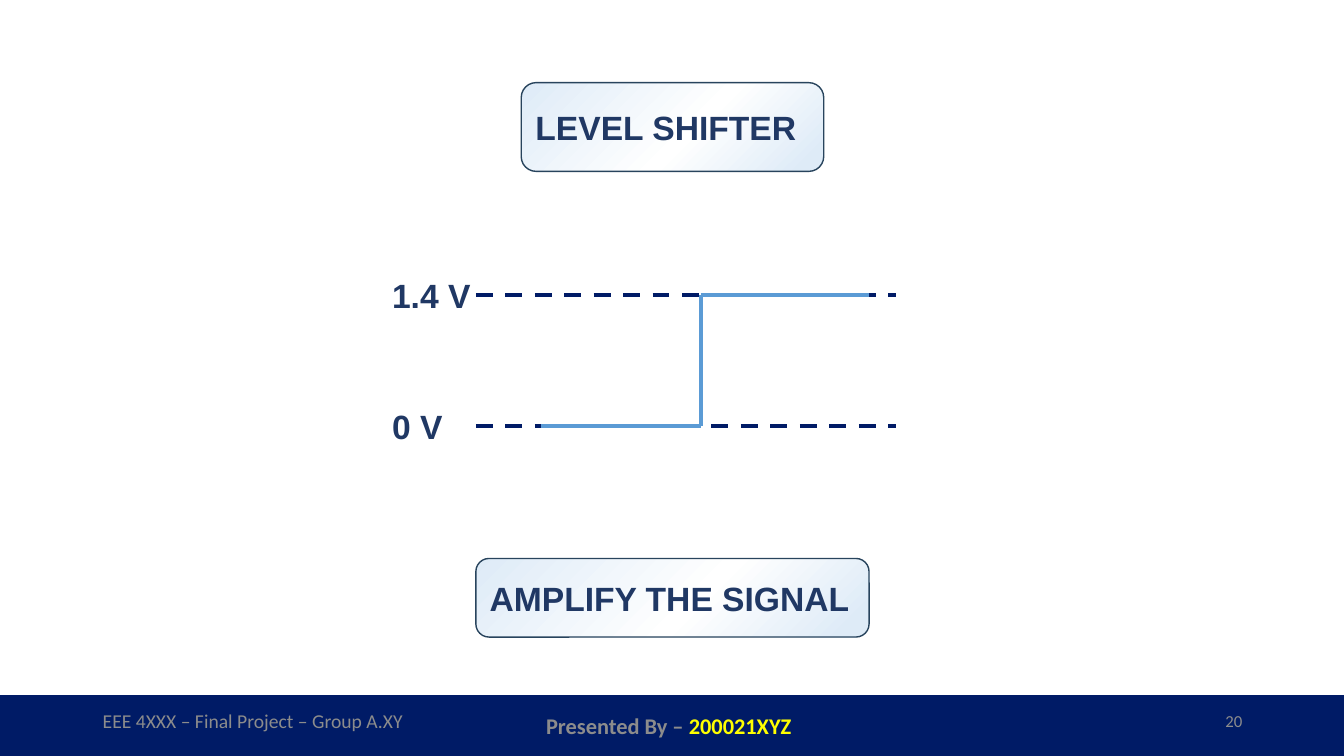
"""Build the level shifter slide with its step signal and footer."""
from pptx import Presentation
from pptx.dml.color import RGBColor
from pptx.enum.dml import MSO_LINE
from pptx.enum.shapes import MSO_CONNECTOR, MSO_SHAPE
from pptx.enum.text import MSO_ANCHOR, PP_ALIGN
from pptx.oxml import parse_xml
from pptx.oxml.ns import nsdecls, qn
from pptx.util import Inches, Pt

RECT, ROUND = MSO_SHAPE.RECTANGLE, MSO_SHAPE.ROUNDED_RECTANGLE
STRAIGHT = MSO_CONNECTOR.STRAIGHT
DASH = MSO_LINE.DASH
TOP, MIDDLE = MSO_ANCHOR.TOP, MSO_ANCHOR.MIDDLE
LEFT, CENTER, RIGHT = PP_ALIGN.LEFT, PP_ALIGN.CENTER, PP_ALIGN.RIGHT

NAVY, BLUE, INK = "001B66", "5B9BD5", "203864"
EDGE, GRAY, YELLOW = "28445D", "8C8C8C", "FFFF00"
STOPS = [(0, "DEEBF7"), (56, "FFFFFF"), (94, "DEEBF7")]
HIGH, LOW = 2.93, 4.23
START, STEP, END = 5.37, 6.95, 8.62


def color(code):
    """Turn a hex string into a colour."""
    return RGBColor.from_string(code)


def write(para, text, size, code, font="Calibri", bold=False):
    """Add one formatted run to a paragraph."""
    run = para.add_run()
    run.text = text
    run.font.name = font
    run.font.size = Pt(size)
    run.font.bold = bold
    run.font.color.rgb = color(code)


def add_text(slide, box, runs, align=LEFT, anchor=TOP):
    """Add a text box holding one line of formatted runs."""
    frame = slide.shapes.add_textbox(*map(Inches, box)).text_frame
    frame.word_wrap = True
    frame.vertical_anchor = anchor
    para = frame.paragraphs[0]
    para.alignment = align
    for run in runs:
        write(para, *run)


def add_block(slide, kind, box, edge):
    """Add a preset shape with a thin outline and no shadow."""
    block = slide.shapes.add_shape(kind, *map(Inches, box))
    block.shadow.inherit = False
    block.line.color.rgb = color(edge)
    block.line.width = Pt(1)
    return block


def add_title(slide, box, text):
    """Add a rounded box with a diagonal gradient and a bold caption."""
    block = add_block(slide, ROUND, box, EDGE)
    block.fill.gradient()
    block.fill.gradient_angle = 315
    stops = "".join(
        f'<a:gs pos="{pos * 1000}"><a:srgbClr val="{code}"/></a:gs>'
        for pos, code in STOPS)
    grad = block._element.spPr.find(qn("a:gradFill"))
    grad.replace(grad.find(qn("a:gsLst")),
                 parse_xml(f'<a:gsLst {nsdecls("a")}>{stops}</a:gsLst>'))
    frame = block.text_frame
    frame.word_wrap = True
    frame.vertical_anchor = MIDDLE
    para = frame.paragraphs[0]
    para.alignment = LEFT
    write(para, text, 24, INK, "Arial", True)


def add_line(slide, start, end, code, dash=None):
    """Add a straight line between two points."""
    line = slide.shapes.add_connector(
        STRAIGHT, *map(Inches, (*start, *end)))
    line.line.color.rgb = color(code)
    line.line.width = Pt(3)
    if dash:
        line.line.dash_style = dash
    line._element.spPr.append(parse_xml(f'<a:effectLst {nsdecls("a")}/>'))


def add_footer(slide):
    """Add the navy bar with its three captions."""
    bar = add_block(slide, RECT, (0, 6.9, 13.34, 0.6), NAVY)
    bar.fill.solid()
    bar.fill.fore_color.rgb = color(NAVY)
    group = [("EEE 4XXX – Final Project – Group A.XY", 14, GRAY)]
    author = [("Presented By – ", 16, GRAY, "Calibri", True),
              ("200021XYZ", 16, YELLOW, "Calibri", True),
              (" ", 24, YELLOW, "Calibri", True)]
    for left, width, runs, align in [
            (0.92, 3.22, group, LEFT),
            (4.42, 4.5, author, CENTER),
            (9.42, 3, [("20", 12, GRAY)], RIGHT)]:
        add_text(slide, (left, 6.95, width, 0.4), runs, align, MIDDLE)


def add_signal(slide):
    """Draw the dashed levels, their labels and the step between them."""
    for level, text, width in [(HIGH, "1.4 V", 1.02), (LOW, "0 V", 0.73)]:
        add_line(slide, (4.72, level), (8.89, level), NAVY, DASH)
        add_text(slide, (3.79, level - 0.25, width, 0.5),
                 [(text, 24, INK, "Arial", True)])
    points = [(START, LOW), (STEP, LOW), (STEP, HIGH), (END, HIGH)]
    for start, end in zip(points, points[1:]):
        add_line(slide, start, end, BLUE)


def main():
    """Build and save the slide."""
    deck = Presentation()
    deck.slide_width, deck.slide_height = Inches(13.33), Inches(7.5)
    slide = deck.slides.add_slide(deck.slide_layouts[6])
    add_footer(slide)
    add_title(slide, (5.17, 0.82, 3, 0.88), "LEVEL SHIFTER")
    add_signal(slide)
    add_title(slide, (4.72, 5.54, 3.9, 0.78), "AMPLIFY THE SIGNAL")
    deck.save("out.pptx")


if __name__ == "__main__":
    main()
